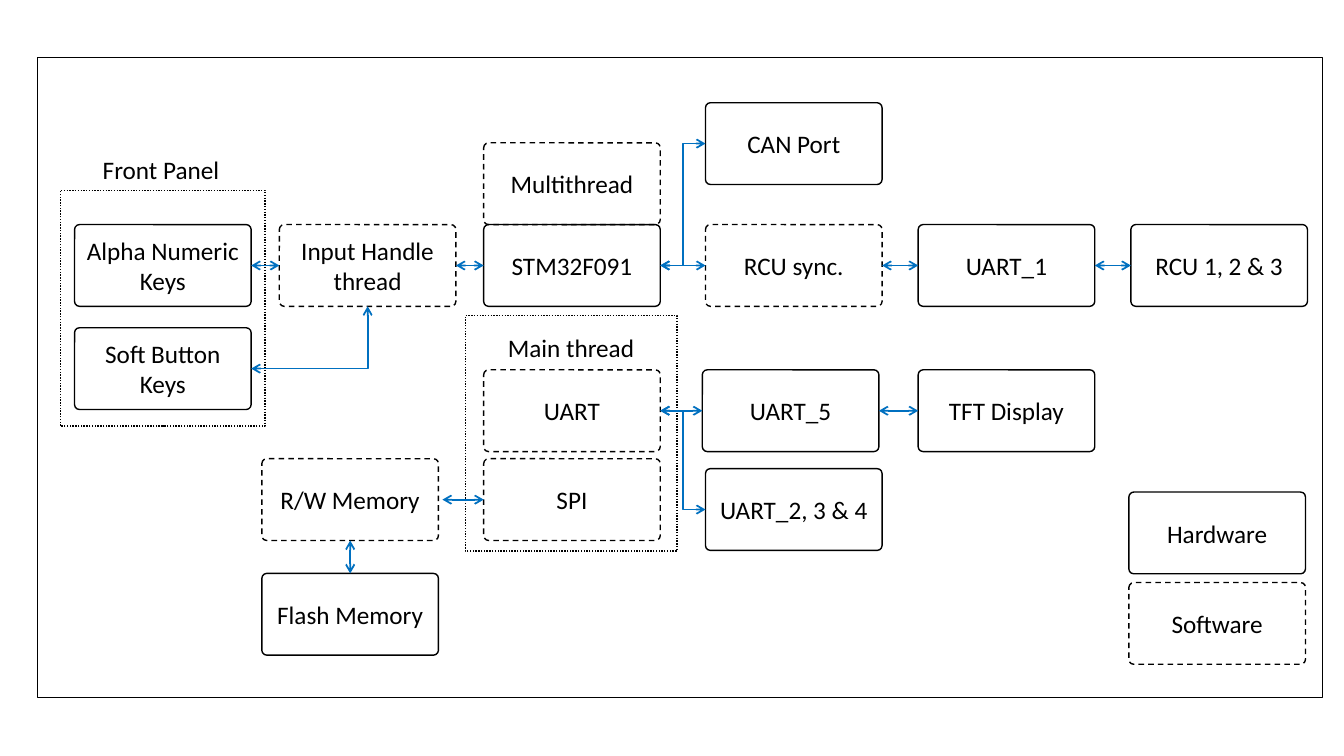
from dataclasses import dataclass

from lxml import etree
from pptx import Presentation
from pptx.dml.color import RGBColor
from pptx.enum.dml import MSO_LINE
from pptx.enum.shapes import MSO_CONNECTOR, MSO_SHAPE
from pptx.enum.text import MSO_ANCHOR, MSO_AUTO_SIZE, PP_ALIGN
from pptx.oxml.ns import qn
from pptx.util import Cm, Pt

RECTANGLE, ROUNDED = MSO_SHAPE.RECTANGLE, MSO_SHAPE.ROUNDED_RECTANGLE
STRAIGHT, ELBOW = MSO_CONNECTOR.STRAIGHT, MSO_CONNECTOR.ELBOW
SOLID, DASH, DOTTED = MSO_LINE.SOLID, MSO_LINE.DASH, MSO_LINE.ROUND_DOT
MIDDLE, CENTER = MSO_ANCHOR.MIDDLE, PP_ALIGN.CENTER
FIT_TEXT = MSO_AUTO_SIZE.SHAPE_TO_FIT_TEXT
TOP, LEFT, BOTTOM, RIGHT = range(4)

# Shared box size and grid, in centimetres
BOX_WIDTH, BOX_HEIGHT = 4.45, 2.06
KEYS, INPUT, CORE, SYNC, PORT, REMOTE = 1.88, 7.04, 12.19, 17.78, 23.14, 28.5
MEMORY, LEGEND = 6.6, 28.45
MAIN_ROW, UART_ROW, SPI_ROW = 5.66, 9.32, 11.56

HARDWARE = [
    ("Alpha Numeric Keys", KEYS, MAIN_ROW),
    ("Soft Button Keys", KEYS, 8.26),
    ("STM32F091", CORE, MAIN_ROW),
    ("CAN Port", SYNC, 2.59),
    ("UART_1", PORT, MAIN_ROW),
    ("RCU 1, 2 & 3", REMOTE, MAIN_ROW),
    ("UART_5", 17.7, UART_ROW),
    ("TFT Display", PORT, UART_ROW),
    ("UART_2, 3 & 4", SYNC, 11.81),
    ("Flash Memory", MEMORY, 14.45),
    ("Hardware", LEGEND, 12.4),
]
SOFTWARE = [
    ("Multithread", CORE, MAIN_ROW - BOX_HEIGHT),
    ("Input Handle\nthread", INPUT, MAIN_ROW),
    ("RCU sync.", SYNC, MAIN_ROW),
    ("UART", CORE, UART_ROW),
    ("SPI", CORE, SPI_ROW),
    ("R/W Memory", MEMORY, SPI_ROW),
    ("Software", LEGEND, 14.68),
]
# Rows of boxes joined side by side
CHAINS = [
    ["Alpha Numeric Keys", "Input Handle\nthread", "STM32F091", "RCU sync.",
     "UART_1", "RCU 1, 2 & 3"],
    ["UART", "UART_5", "TFT Display"],
]


@dataclass
class Theme:
    font: str = "Calibri"
    text_size: float = 18
    text_color: str = "000000"
    outline_color: str = "000000"
    outline_width: float = 1
    arrow_color: str = "0070C0"
    arrow_width: float = 1.25


class Diagram:
    def __init__(self, slide, theme):
        self.slide = slide
        self.theme = theme

    def apply(self, target, values):
        for name, value in values.items():
            setattr(target, name, value)

    def style_line(self, line, color, width, dash=SOLID):
        line.color.rgb = RGBColor.from_string(color)
        self.apply(line, {"width": Pt(width), "dash_style": dash})

    def set_text(self, text_frame, text, alignment=None):
        text_frame.text = text
        for paragraph in text_frame.paragraphs:
            paragraph.alignment = alignment
            for run in paragraph.runs:
                self.apply(run.font, {"name": self.theme.font, "size": Pt(self.theme.text_size)})
                run.font.color.rgb = RGBColor.from_string(self.theme.text_color)

    def frame(self, left, top, width, height, dash=SOLID, kind=RECTANGLE):
        shape = self.slide.shapes.add_shape(kind, Cm(left), Cm(top), Cm(width), Cm(height))
        shape.shadow.inherit = False
        shape.fill.background()
        self.style_line(shape.line, self.theme.outline_color, self.theme.outline_width, dash)
        return shape

    def box(self, text, left, top, dash):
        shape = self.frame(left, top, BOX_WIDTH, BOX_HEIGHT, dash, ROUNDED)
        shape.adjustments[0] = 0.06
        self.apply(shape.text_frame, {"word_wrap": True, "vertical_anchor": MIDDLE})
        self.set_text(shape.text_frame, text, CENTER)
        return shape

    def label(self, text, left, top, width):
        shape = self.slide.shapes.add_textbox(Cm(left), Cm(top), Cm(width), Cm(1.03))
        self.apply(shape.text_frame, {"word_wrap": True, "auto_size": FIT_TEXT})
        self.set_text(shape.text_frame, text)

    def arrow(self, start, start_side, end=None, end_side=LEFT, kind=STRAIGHT, end_point=(0, 0)):
        """Double arrow from a box to another box, or to a free point in cm."""
        x, y = end_point
        connector = self.slide.shapes.add_connector(kind, Cm(0), Cm(0), Cm(x), Cm(y))
        connector.begin_connect(start, start_side)
        if end is not None:
            connector.end_connect(end, end_side)
        self.style_line(connector.line, self.theme.arrow_color, self.theme.arrow_width)
        properties = connector._element.spPr
        line = properties.find(qn("a:ln"))
        for tag in ("a:headEnd", "a:tailEnd"):
            etree.SubElement(line, qn(tag), type="arrow")
        etree.SubElement(properties, qn("a:effectLst"))
        return connector

    def corner_arrow(self, start, start_side, end, end_side):
        """Double arrow with a single right-angle turn."""
        connector = self.arrow(start, start_side, end, end_side, ELBOW)
        geometry = connector._element.spPr.find(qn("a:prstGeom"))
        geometry.set("prst", "bentConnector2")


def main():
    presentation = Presentation()
    presentation.slide_width, presentation.slide_height = Cm(33.87), Cm(19.05)
    slide = presentation.slides.add_slide(presentation.slide_layouts[6])
    diagram = Diagram(slide, Theme())

    # Outer border and dotted groups
    diagram.frame(0.94, 1.45, 32.39, 16.13)
    diagram.frame(1.52, 4.8, 5.16, 5.94, DOTTED)
    diagram.frame(11.73, 7.95, 5.33, 5.94, DOTTED)
    diagram.label("Front Panel", 2.34, 3.76, 3.53)
    diagram.label("Main thread", 12.55, 8.26, 3.73)

    # Hardware and software boxes, with the legend
    boxes = {}
    for group, dash in ((SOFTWARE, DASH), (HARDWARE, SOLID)):
        for text, left, top in group:
            boxes[text] = diagram.box(text, left, top, dash)

    # Horizontal links
    for chain in CHAINS:
        for start, end in zip(chain, chain[1:]):
            diagram.arrow(boxes[start], RIGHT, boxes[end], LEFT)
    diagram.arrow(boxes["SPI"], LEFT, end_point=(11.15, SPI_ROW + BOX_HEIGHT / 2))

    # Vertical and bent links
    diagram.arrow(boxes["R/W Memory"], BOTTOM, boxes["Flash Memory"], TOP)
    diagram.arrow(boxes["UART"], RIGHT, boxes["UART_2, 3 & 4"], LEFT, ELBOW)
    diagram.arrow(boxes["STM32F091"], RIGHT, boxes["CAN Port"], LEFT, ELBOW)
    diagram.corner_arrow(boxes["Soft Button Keys"], RIGHT, boxes["Input Handle\nthread"], BOTTOM)

    presentation.save("out.pptx")


if __name__ == "__main__":
    main()
